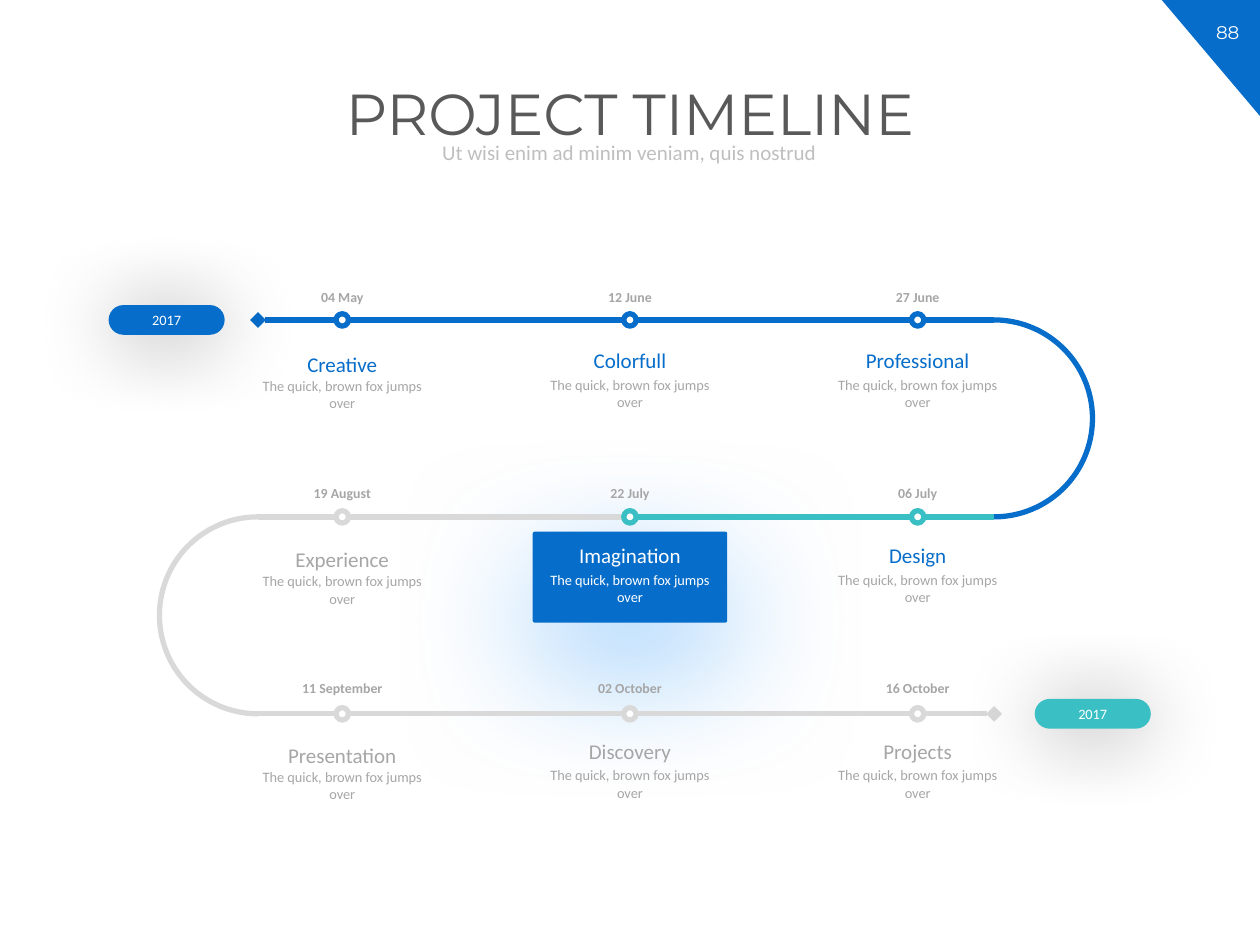
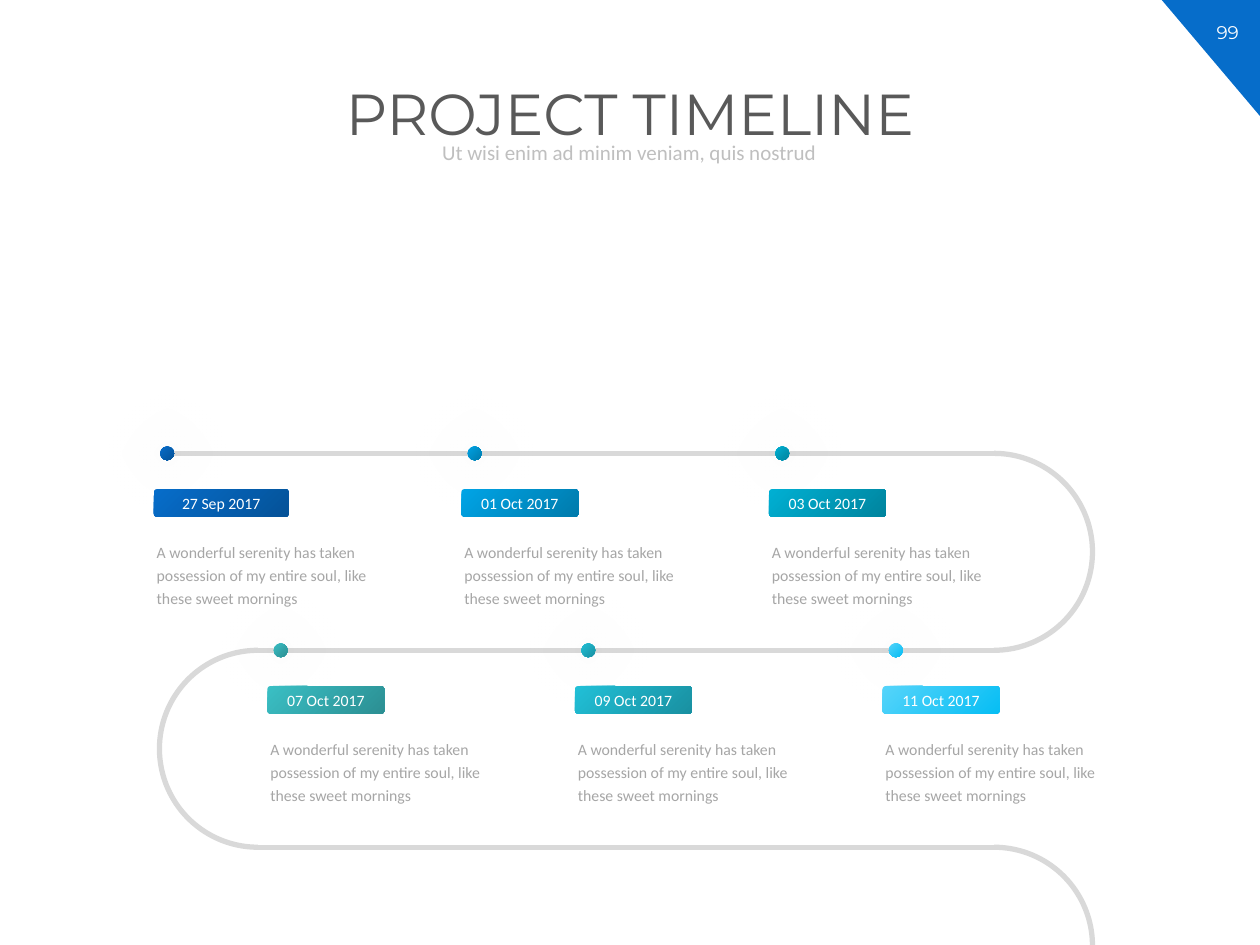
from lxml import etree
from pptx import Presentation
from pptx.dml.color import RGBColor
from pptx.enum.shapes import MSO_CONNECTOR, MSO_SHAPE
from pptx.enum.text import MSO_ANCHOR, MSO_AUTO_SIZE, PP_ALIGN
from pptx.oxml.ns import qn
from pptx.util import Cm, Pt

ARC, OVAL = MSO_SHAPE.ARC, MSO_SHAPE.OVAL
ROUNDED, TRIANGLE = MSO_SHAPE.ROUNDED_RECTANGLE, MSO_SHAPE.RIGHT_TRIANGLE
STRAIGHT = MSO_CONNECTOR.STRAIGHT
TOP, MIDDLE = MSO_ANCHOR.TOP, MSO_ANCHOR.MIDDLE
LEFT, CENTER = PP_ALIGN.LEFT, PP_ALIGN.CENTER
NO_FIT, GROW = MSO_AUTO_SIZE.NONE, MSO_AUTO_SIZE.SHAPE_TO_FIT_TEXT

BLUE, TEAL, SILVER, WHITE = "066DCA", "3ABFC4", "D9D9D9", "FFFFFF"
TITLE_GREY, SUBTITLE_GREY, TEXT_GREY = "595959", "BFBFBF", "A6A6A6"
HEADING_FONT, BODY_FONT = "Montserrat", "Calibri"

# The winding track, in centimetres
TRACK_LEFT, TRACK_RIGHT = 5.2, 20.04
ROW_GAP = 3.97
TRACK_PT = 3

FOX = "The quick, brown fox jumps over"
SERENITY = ("A wonderful serenity has taken possession of my entire soul, "
            "like these sweet mornings")
BRAND_GRADIENT = (BLUE, TEAL)

# Date, heading, ring colour, heading colour, description colour
MILESTONES = [
    [("04 May", "Creative", BLUE, BRAND_GRADIENT, TEXT_GREY),
     ("12 June", "Colorfull", BLUE, BRAND_GRADIENT, TEXT_GREY),
     ("27 June", "Professional", BLUE, BRAND_GRADIENT, TEXT_GREY)],
    [("19 August", "Experience", SILVER, TEXT_GREY, TEXT_GREY),
     ("22 July", "Imagination", TEAL, WHITE, WHITE),
     ("06 July", "Design", TEAL, BRAND_GRADIENT, TEXT_GREY)],
    [("11 September", "Presentation", SILVER, TEXT_GREY, TEXT_GREY),
     ("02 October", "Discovery", SILVER, TEXT_GREY, TEXT_GREY),
     ("16 October", "Projects", SILVER, TEXT_GREY, TEXT_GREY)],
]

# Centre of the first dot, then date, label width and gradient of each step
STEP_ROWS = [
    (3.37, [("27 Sep 2017", 2.72, (BLUE, "055298")),
            ("01 Oct 2017", 2.36, ("00A4E6", "007BAC")),
            ("03 Oct 2017", 2.36, ("00B0D3", "00849E"))]),
    (5.66, [("07 Oct 2017", 2.36, (TEAL, "2C8F93")),
            ("09 Oct 2017", 2.36, ("21C0D7", "1990A1")),
            ("11 Oct 2017", 2.36, ("55D4FA", "07BEF4"))]),
]


def rgb(value):
    return RGBColor.from_string(value)


def paint(fill, color, angle=0):
    """Fill with one hex colour, or with a gradient given as a pair."""
    if isinstance(color, tuple):
        fill.gradient()
        fill.gradient_angle = angle
        for stop, value in zip(fill.gradient_stops, color):
            stop.color.rgb = rgb(value)
    else:
        fill.solid()
        fill.fore_color.rgb = rgb(color)


def write(tf, text, size, color, font=BODY_FONT, bold=False, align=CENTER,
          anchor=TOP, spacing=None, fit=NO_FIT, wrap=True):
    tf.text = text
    tf.word_wrap = wrap
    tf.auto_size = fit
    tf.vertical_anchor = anchor
    p = tf.paragraphs[0]
    p.alignment = align
    if spacing:
        p.line_spacing = spacing
    r = p.runs[0]
    r.font.name, r.font.size, r.font.bold = font, Pt(size), bold
    paint(r.font.fill, color)


def add_text(s, left, top, width, height, text, size, color, fit=GROW, **style):
    box = s.shapes.add_textbox(Cm(left), Cm(top), Cm(width), Cm(height))
    write(box.text_frame, text, size, color, fit=fit, **style)


def add_shape(s, kind, left, top, width, height, fill=None, line=None):
    sp = s.shapes.add_shape(kind, Cm(left), Cm(top), Cm(width), Cm(height))
    sp.shadow.inherit = False
    if fill:
        paint(sp.fill, fill, angle=315)
    else:
        sp.fill.background()
    if line:
        sp.line.color.rgb = rgb(line)
        sp.line.width = Pt(TRACK_PT)
    else:
        sp.line.fill.background()
    return sp


def add_glow(sp, color, opacity, blur, distance):
    effects = sp._element.spPr.find(qn("a:effectLst"))
    shadow = etree.SubElement(
        effects, qn("a:outerShdw"), blurRad=str(Pt(blur)),
        dist=str(Pt(distance)), dir="5400000", algn="ctr", rotWithShape="0")
    tint = etree.SubElement(shadow, qn("a:srgbClr"), val=color)
    etree.SubElement(tint, qn("a:alpha"), val=str(opacity * 1000))


def add_dot(s, x, y, size, fill, line=None):
    """Place a circle by its centre."""
    return add_shape(s, OVAL, x - size / 2, y - size / 2, size, size, fill, line)


def add_track(s, x1, x2, y, color, diamond=None):
    """Draw a level line; diamond is headEnd or tailEnd."""
    cn = s.shapes.add_connector(STRAIGHT, Cm(x1), Cm(y), Cm(x2), Cm(y))
    cn.line.color.rgb = rgb(color)
    cn.line.width = Pt(TRACK_PT)
    etree.SubElement(cn._element.spPr, qn("a:effectLst"))
    if diamond:
        etree.SubElement(cn.line._get_or_add_ln(), qn(f"a:{diamond}"),
                         type="diamond")


def add_bend(s, center_x, top, color, start, end):
    """Draw an arc from start to end, in degrees clockwise from the right."""
    arc = add_shape(s, ARC, center_x - ROW_GAP / 2, top, ROW_GAP, ROW_GAP,
                    line=color)
    arc.adjustments[0] = start * 0.6
    arc.adjustments[1] = end * 0.6


def add_right_bend(s, top, color, end=90):
    add_bend(s, TRACK_RIGHT, top, color, 270, end)


def add_left_bend(s, top, color):
    add_bend(s, TRACK_LEFT, top, color, 90, 270)


def add_year_pill(s, left, track_y, color):
    pill = add_shape(s, ROUNDED, left, track_y - 0.3, 2.34, 0.6, color)
    pill.adjustments[0] = 0.5
    add_glow(pill, "000000", 40, 46, 3)
    write(pill.text_frame, "2017", 8.2, WHITE, anchor=MIDDLE)


def add_milestone(s, x, y, drop, date, heading, heading_color, text_color):
    """Write the texts around a ring; drop lowers the heading."""
    width = 3.73
    left = x - width / 2
    add_text(s, left, y - 0.82, width, 0.66, date, 7.9, TEXT_GREY,
             bold=True, spacing=1.2)
    add_text(s, left, y + 0.33 + drop, width, 0.86, heading, 12,
             heading_color, spacing=1.2)
    add_text(s, left, y + 1 + drop / 3, width, 0.97, FOX, 8.2, text_color)


def add_step(s, x, y, date, label_width, gradient):
    dot = add_dot(s, x, y, 0.28, gradient)
    add_glow(dot, "000000", 40, 48, 0)
    add_text(s, x - 0.46, y + 1.61, 5.26, 1.65, SERENITY, 9, TEXT_GREY,
             align=LEFT, spacing=1.2)
    label = add_shape(s, ROUNDED, x - 0.27, y + 0.72, label_width, 0.56, gradient)
    label.adjustments[0] = 0.12
    write(label.text_frame, date, 9, WHITE, anchor=MIDDLE, wrap=False)


def add_base_slide(prs, number):
    """Add a slide with the corner number, title and subtitle."""
    s = prs.slides.add_slide(prs.slide_layouts[5])
    corner = add_shape(s, TRIANGLE, 23.42, 0, 1.98, 2.34, BLUE)
    corner.rotation = 180
    add_text(s, 24.1, 0.3, 1.3, 0.71, number, 10.5, WHITE, font=HEADING_FONT)
    title = s.shapes.title
    title.left, title.top = Cm(1.45), Cm(1.6)
    title.width, title.height = Cm(22.5), Cm(1.85)
    write(title.text_frame, "PROJECT TIMELINE", 33, TITLE_GREY,
          font=HEADING_FONT, spacing=0.9)
    add_text(s, 3.53, 2.77, 18.31, 0.66,
             "Ut wisi enim ad minim veniam, quis nostrud", 12, SUBTITLE_GREY,
             fit=NO_FIT, anchor=MIDDLE, spacing=0.9)
    return s


def build_milestones(prs):
    s = add_base_slide(prs, "88")
    rows = [6.45 + ROW_GAP * i for i in range(3)]
    columns = [6.9 + 5.8 * i for i in range(3)]

    card = add_shape(s, ROUNDED, 10.74, 10.72, 3.92, 1.83, BLUE)
    card.adjustments[0] = 0.02
    add_glow(card, "4FA9FA", 61, 79, 24)

    add_right_bend(s, rows[0], BLUE)
    add_track(s, TRACK_LEFT, TRACK_RIGHT, rows[1], SILVER)
    add_left_bend(s, rows[1], SILVER)
    add_track(s, TRACK_LEFT, TRACK_RIGHT, rows[2], SILVER, "tailEnd")
    add_track(s, TRACK_LEFT, TRACK_RIGHT, rows[0], BLUE, "headEnd")
    add_track(s, columns[1], TRACK_RIGHT, rows[1], TEAL)
    add_year_pill(s, 20.86, rows[2], TEAL)
    add_year_pill(s, 2.19, rows[0], BLUE)

    for i, (y, row) in enumerate(zip(rows, MILESTONES)):
        text_y = rows[0] + 3.94 * i
        for x, (date, heading, ring, heading_color, text_color) in zip(columns, row):
            add_dot(s, x, y, 0.25, WHITE, ring)
            drop = 0.08 if x == columns[0] else 0
            add_milestone(s, x, text_y, drop, date, heading, heading_color,
                          text_color)


def build_steps(prs):
    s = add_base_slide(prs, "99")
    rows = [9.14 + ROW_GAP * i for i in range(3)]
    first_x = STEP_ROWS[0][0]

    for left, y in zip((first_x, TRACK_LEFT, TRACK_LEFT), rows):
        add_track(s, left, TRACK_RIGHT, y, SILVER)
    add_right_bend(s, rows[0], SILVER)
    add_left_bend(s, rows[1], SILVER)
    add_right_bend(s, rows[2], SILVER, end=0)

    for y, (start_x, steps) in zip(rows, STEP_ROWS):
        for i, step in enumerate(steps):
            add_step(s, start_x + 6.2 * i, y, *step)


def main():
    prs = Presentation()
    prs.slide_width, prs.slide_height = Cm(25.4), Cm(19.05)
    build_milestones(prs)
    build_steps(prs)
    prs.save("out.pptx")


if __name__ == "__main__":
    main()
